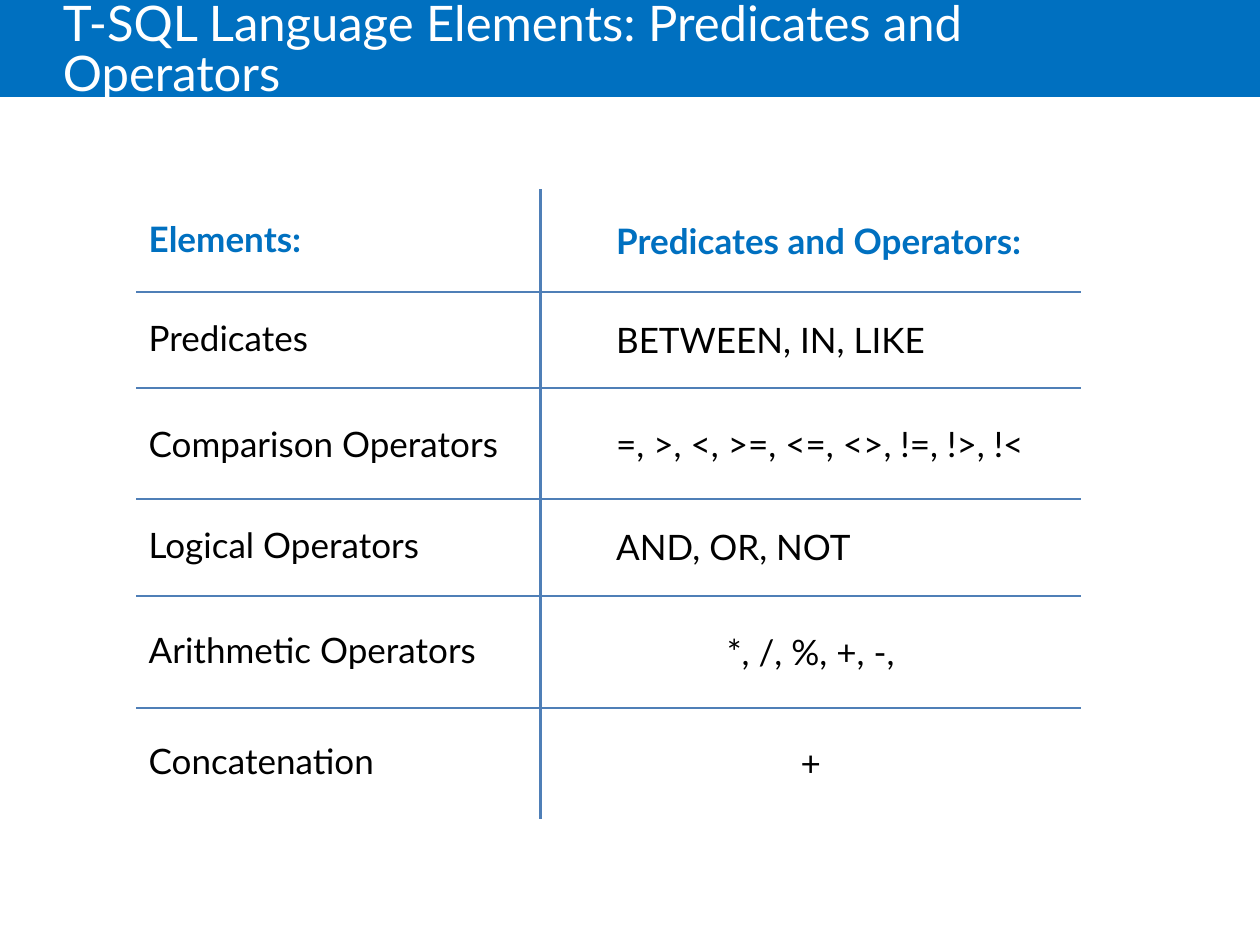
from lxml.etree import SubElement
from pptx import Presentation
from pptx.dml.color import RGBColor
from pptx.enum.shapes import MSO_SHAPE
from pptx.enum.text import MSO_ANCHOR, PP_ALIGN
from pptx.oxml.ns import qn
from pptx.util import Inches, Pt

BLUE, RULE, BLACK, WHITE = "0070C0", "4F7FB7", "000000", "FFFFFF"
COLUMN_WIDTHS = [3.21, 4.29]
ROW_HEIGHTS = [0.82, 0.76, 0.88, 0.77, 0.89, 0.88]
# Left text, right text, left line spacing, right text centred
ROWS = [
    ("Elements:", "Predicates and Operators:", 0.9, False),
    ("Predicates", "BETWEEN, IN, LIKE", 0.9, False),
    ("Comparison Operators", "=, >, <, >=, <=, <>, !=, !>, !<", 1, False),
    ("Logical Operators", "AND, OR, NOT", 0.9, False),
    ("Arithmetic Operators", "*, /, %, +, -,", 0.9, True),
    ("Concatenation", "+", 0.9, True),
]


def color(hex_string):
    return RGBColor.from_string(hex_string)


def write_text(frame, text, size=20, fill=BLACK, bold=False, spacing=1,
               align=PP_ALIGN.LEFT, indent=0):
    para = frame.paragraphs[0]
    para.alignment = align
    para.line_spacing = spacing
    if indent:
        para.level = 1
        para._p.get_or_add_pPr().set("marL", str(Inches(indent)))
    span = para.add_run()
    span.text = text
    span.font.name = "Lato"
    span.font.size = Pt(size)
    span.font.bold = bold
    span.font.color.rgb = color(fill)


def set_borders(cell, ruled_sides):
    """Rule the named sides (L, R, T, B) and clear the others."""
    properties = cell._tc.get_or_add_tcPr()
    for side in "LRTB":
        line = SubElement(properties, qn(f"a:ln{side}"), w=str(Pt(1.5)))
        if side in ruled_sides:
            fill = SubElement(line, qn("a:solidFill"))
            SubElement(fill, qn("a:srgbClr"), val=RULE)
        else:
            SubElement(line, qn("a:noFill"))


def add_title_band(page, left, top, width, height):
    band = page.shapes.add_shape(MSO_SHAPE.RECTANGLE, Inches(left), Inches(top),
                                 Inches(width), Inches(height))
    band.shadow.inherit = False
    band.fill.solid()
    band.fill.fore_color.rgb = color(BLUE)
    band.line.fill.background()

    box = page.shapes.add_textbox(Inches(left + 0.5), Inches(top),
                                  Inches(width - 1.5), Inches(height + 0.04))
    frame = box.text_frame
    frame.word_wrap = True
    frame.vertical_anchor = MSO_ANCHOR.MIDDLE
    frame.margin_left = 0
    write_text(frame, "T-SQL Language Elements: Predicates and Operators",
               size=28, fill=WHITE, spacing=0.85)


def add_operator_table(page, left, top):
    table = page.shapes.add_table(
        len(ROWS), len(COLUMN_WIDTHS), Inches(left), Inches(top),
        Inches(sum(COLUMN_WIDTHS)), Inches(sum(ROW_HEIGHTS))).table
    table.first_row = table.horz_banding = False
    for column, width in zip(table.columns, COLUMN_WIDTHS):
        column.width = Inches(width)
    for row, height in zip(table.rows, ROW_HEIGHTS):
        row.height = Inches(height)

    for index, (element, operators, spacing, centred) in enumerate(ROWS):
        heading = index == 0
        style = {"fill": BLUE if heading else BLACK, "bold": heading}
        right_style = {"align": PP_ALIGN.CENTER} if centred else {"indent": 0.5}
        row_sides = ("" if heading else "T") + ("B" if index < len(ROWS) - 1 else "")
        cells = [
            (element, "R", {"spacing": spacing}),
            (operators, "L", right_style),
        ]
        for column, (text, inner_side, layout) in enumerate(cells):
            cell = table.cell(index, column)
            cell.vertical_anchor = MSO_ANCHOR.MIDDLE
            cell.margin_left = cell.margin_right = Inches(0.1)
            cell.margin_top = cell.margin_bottom = Inches(0.1)
            set_borders(cell, inner_side + row_sides)
            cell.fill.background()
            write_text(cell.text_frame, text, **style, **layout)


def main():
    deck = Presentation()
    deck.slide_width, deck.slide_height = Inches(10), Inches(7.5)
    page = deck.slides.add_slide(deck.slide_layouts[6])
    add_title_band(page, 0, 0, 10, 0.77)
    add_operator_table(page, 1.08, 1.5)
    deck.save("out.pptx")


if __name__ == "__main__":
    main()
